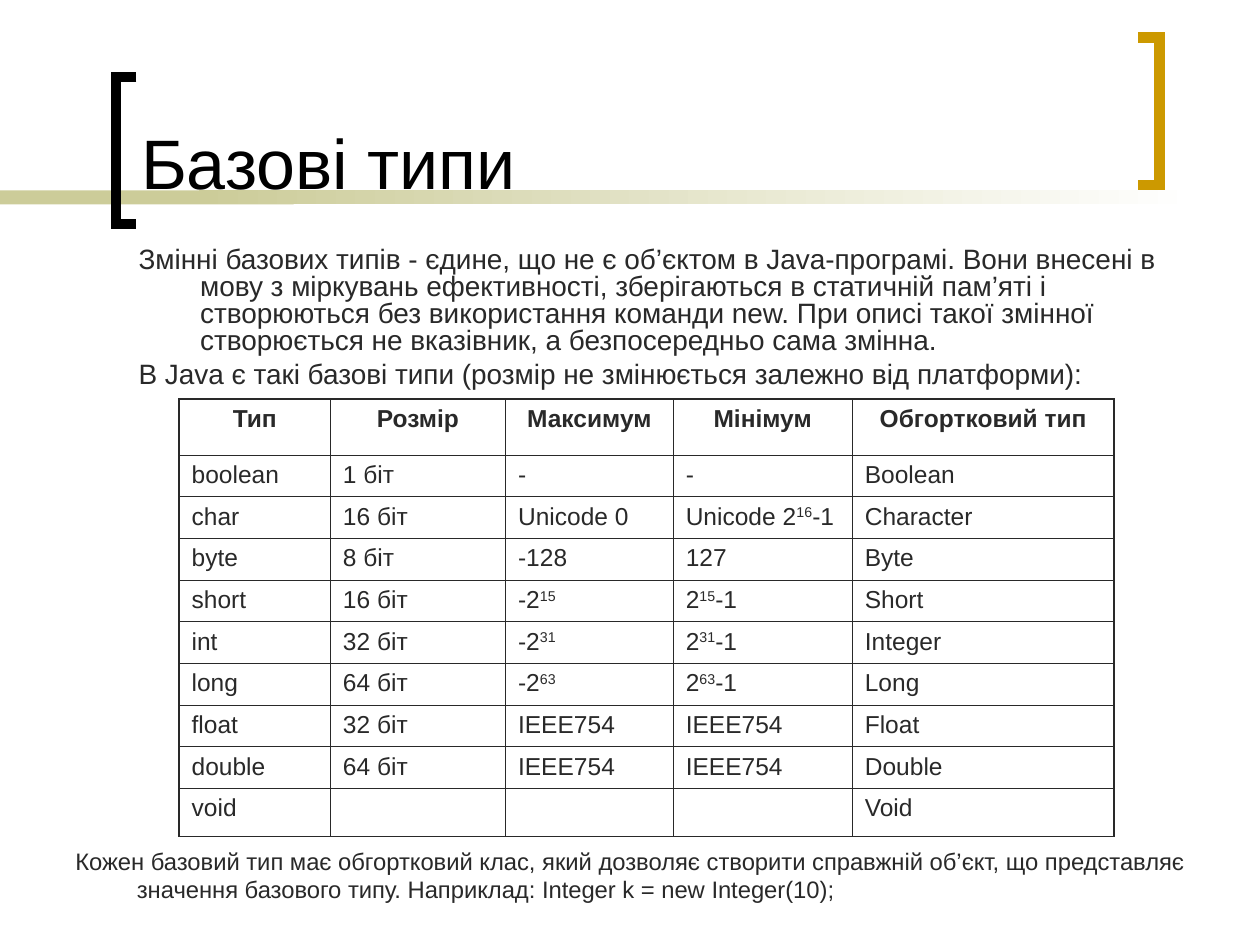
"""Builds the slide on Java basic types with its table of wrapper classes."""
import dataclasses

import pptx
import pptx.dml.color
import pptx.enum.shapes
import pptx.enum.text
import pptx.oxml.ns
import pptx.util
from lxml import etree

Cm = pptx.util.Cm
Pt = pptx.util.Pt
RGB = pptx.dml.color.RGBColor.from_string
qn = pptx.oxml.ns.qn
ALIGN = pptx.enum.text.PP_ALIGN
ANCHOR = pptx.enum.text.MSO_ANCHOR


@dataclasses.dataclass(frozen=True)
class Theme:
    font: str = "Arial"
    ink: str = "292929"
    black: str = "000000"
    white: str = "FFFFFF"
    gold: str = "CC9900"
    olive: str = "CCCC99"
    title_size: float = 40
    body_size: float = 16
    table_size: float = 14
    note_size: float = 13.6
    bracket_line: float = 6
    outer_line: float = 1.08
    inner_line: float = 0.45


theme = Theme()


def write(frame, *paragraphs, size, color=theme.ink, bold=False, align=ALIGN.LEFT,
          anchor=ANCHOR.TOP, hanging=0, spacing=None, before=0):
    """Fill a text frame; text between carets becomes superscript."""
    frame.word_wrap = True
    frame.auto_size = pptx.enum.text.MSO_AUTO_SIZE.NONE
    frame.vertical_anchor = anchor
    for number, text in enumerate(paragraphs):
        paragraph = frame.add_paragraph() if number else frame.paragraphs[0]
        properties = paragraph._p.get_or_add_pPr()
        properties.set("marL", str(Cm(hanging)))
        properties.set("indent", str(-Cm(hanging)))
        etree.SubElement(properties, qn("a:buNone"))
        paragraph.alignment = align
        paragraph.line_spacing = spacing
        paragraph.space_before = Pt(before if number else 0)
        for position, part in enumerate(text.split("^")):
            run = paragraph.add_run()
            run.text = part
            run.font.name = theme.font
            run.font.size = Pt(size)
            run.font.bold = bold
            run.font.color.rgb = RGB(color)
            if position % 2:
                run._r.get_or_add_rPr().set("baseline", "30000")


deck = pptx.Presentation()
deck.slide_width, deck.slide_height = Cm(25.4), Cm(19.05)
slide = deck.slides.add_slide(deck.slide_layouts[1])
title, intro = slide.placeholders

for left, width in ((0, 5.92), (4.01, 20.12)):
    band = slide.shapes.add_shape(pptx.enum.shapes.MSO_SHAPE.RECTANGLE,
                                  Cm(left), Cm(3.84), Cm(width), Cm(0.28))
    band.shadow.inherit = False
    band.line.fill.background()
    if left:
        band.fill.gradient()
        band.fill.gradient_angle = 0
        for stop, shade in zip(band.fill.gradient_stops, (theme.olive, theme.white)):
            stop.color.rgb = RGB(shade)
    else:
        band.fill.solid()
        band.fill.fore_color.rgb = RGB(theme.olive)
    title.element.addprevious(band.element)

for tip, spine, top, shade in ((2.75, 2.34, 1.55, theme.black),
                               (22.95, 23.37, 0.76, theme.gold)):
    bottom = top + 2.97
    outline = slide.shapes.build_freeform(Cm(tip), Cm(top))
    outline.add_line_segments([(Cm(spine), Cm(top)), (Cm(spine), Cm(bottom)),
                               (Cm(tip), Cm(bottom))], close=False)
    bracket = outline.convert_to_shape()
    bracket.shadow.inherit = False
    bracket.fill.background()
    bracket.line.color.rgb = RGB(shade)
    bracket.line.width = Pt(theme.bracket_line)
    etree.SubElement(bracket.element.spPr.find(qn("a:ln")), qn("a:miter"), lim="800000")
    title.element.addprevious(bracket.element)

title.left, title.top, title.width, title.height = Cm(2.59), Cm(0.28), Cm(19.89), Cm(3.94)
write(title.text_frame, "Базові типи", size=theme.title_size, color=theme.black,
      anchor=ANCHOR.BOTTOM)

intro.left, intro.top, intro.width, intro.height = Cm(2.54), Cm(4.88), Cm(21.29), Cm(3.18)
write(intro.text_frame,
      "Змінні базових типів - єдине, що не є об’єктом в Java-програмі. Вони внесені в мову "
      "з міркувань ефективності, зберігаються в статичній пам’яті і створюються без "
      "використання команди new. При описі такої змінної створюється не вказівник, "
      "а безпосередньо сама змінна.",
      "В Java є такі базові типи (розмір не змінюється залежно від платформи):",
      size=theme.body_size, hanging=1.24, spacing=0.8, before=4)

type_rows = [
    ("Тип", "Розмір", "Максимум", "Мінімум", "Обгортковий тип"),
    ("boolean", "1 біт", "-", "-", "Boolean"),
    ("char", "16 біт", "Unicode 0", "Unicode 2^16^-1", "Character"),
    ("byte", "8 біт", "-128", "127", "Byte"),
    ("short", "16 біт", "-2^15^", "2^15^-1", "Short"),
    ("int", "32 біт", "-2^31^", "2^31^-1", "Integer"),
    ("long", "64 біт", "-2^63^", "2^63^-1", "Long"),
    ("float", "32 біт", "IEEE754", "IEEE754", "Float"),
    ("double", "64 біт", "IEEE754", "IEEE754", "Double"),
    ("void", "", "", "", "Void"),
]
column_widths = (3.05, 3.53, 3.38, 3.61, 5.28)
row_heights = (1.12, *[0.84] * 8, 0.97)
last_row, last_column = len(row_heights) - 1, len(column_widths) - 1
types = slide.shapes.add_table(len(row_heights), len(column_widths), Cm(3.61), Cm(8.05),
                               Cm(sum(column_widths)), Cm(sum(row_heights))).table
types.first_row = types.horz_banding = False
for column, width in zip(types.columns, column_widths):
    column.width = Cm(width)
for row, height in zip(types.rows, row_heights):
    row.height = Cm(height)

for r, values in enumerate(type_rows):
    for c, value in enumerate(values):
        cell = types.cell(r, c)
        write(cell.text_frame, value, size=theme.table_size, bold=r == 0,
              align=ALIGN.LEFT if r else ALIGN.CENTER)
        edges = {"L": c == 0, "R": c == last_column, "T": r == 0, "B": r == last_row}
        cell_properties = cell._tc.get_or_add_tcPr()
        for side, is_outer in edges.items():
            weight = Pt(theme.outer_line if is_outer else theme.inner_line)
            border = etree.SubElement(cell_properties, qn(f"a:ln{side}"), w=str(weight))
            paint = etree.SubElement(border, qn("a:solidFill"))
            etree.SubElement(paint, qn("a:srgbClr"), val=theme.ink)
        cell.fill.background()

wrapper_note = slide.shapes.add_textbox(Cm(1.27), Cm(16.94), Cm(23.06), Cm(1.47))
write(wrapper_note.text_frame,
      "Кожен базовий тип має обгортковий клас, який дозволяє створити справжній об’єкт, "
      "що представляє значення базового типу. Наприклад: Integer k = new Integer(10);",
      size=theme.note_size, hanging=1.24)

deck.save("out.pptx")
